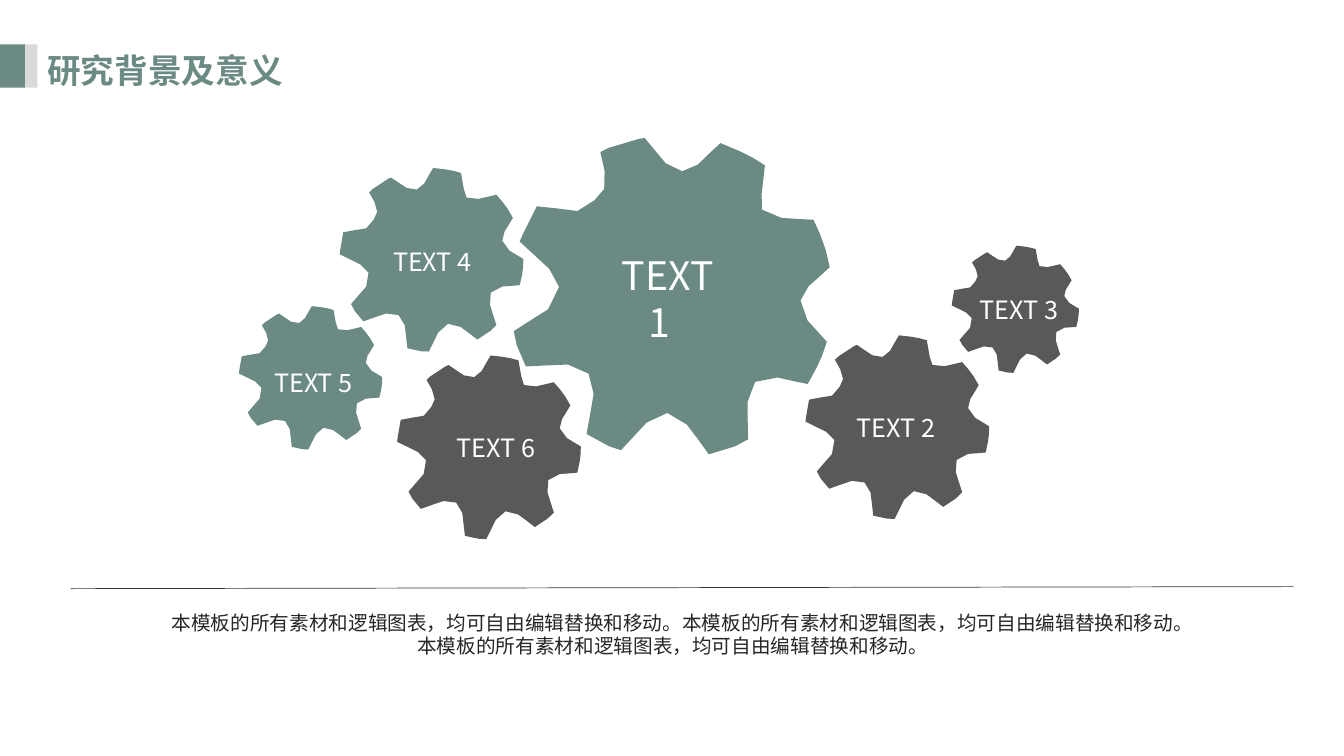
from math import cos, dist, radians, sin

from lxml import etree
from pptx import Presentation
from pptx.dml.color import RGBColor
from pptx.enum.shapes import MSO_CONNECTOR, MSO_SHAPE
from pptx.enum.text import MSO_ANCHOR, MSO_AUTO_SIZE, PP_ALIGN
from pptx.oxml.ns import qn
from pptx.util import Inches, Pt

RECTANGLE = MSO_SHAPE.RECTANGLE
STRAIGHT = MSO_CONNECTOR.STRAIGHT
TOP = MSO_ANCHOR.TOP
GROW = MSO_AUTO_SIZE.SHAPE_TO_FIT_TEXT
LEFT, CENTER = PP_ALIGN.LEFT, PP_ALIGN.CENTER

FONT = "Noto Sans CJK SC"
GREEN, GRAY, PALE, WHITE = "6B8A84", "595959", "D9D9D9", "FFFFFF"
HUB_X, HUB_Y, GEAR_SIZE, GEAR_TILT = 6.66, 2.95, 3.2, 25.7
CURVE_STEPS, SHORT_CURVE = 3, 0.35

# Outline of the tilted main gear: two numbers are a line, six a Bézier curve
GEAR_OUTLINE = [
    (6.4, 1.37), (6.52, 1.48, 6.56, 1.66, 6.77, 1.7),
    (6.96, 1.67, 7.02, 1.51, 7.15, 1.42),
    (7.38, 1.51, 7.47, 1.56, 7.59, 1.64),
    (7.58, 1.79, 7.54, 1.91, 7.56, 2.08), (7.78, 2.22, 7.9, 2.15, 8.07, 2.18),
    (8.14, 2.32, 8.2, 2.47, 8.23, 2.65),
    (8.14, 2.76, 8, 2.8, 7.94, 2.98), (7.99, 3.26, 8.11, 3.25, 8.2, 3.39),
    (8.16, 3.53, 8.12, 3.62, 8.01, 3.81),
    (7.84, 3.81, 7.77, 3.68, 7.49, 3.79), (7.35, 4, 7.44, 4.17, 7.42, 4.36),
    (7.29, 4.43), (7.03, 4.51),
    (6.9, 4.37, 6.88, 4.19, 6.62, 4.1), (6.35, 4.16, 6.31, 4.35, 6.16, 4.47),
    (6.04, 4.43), (5.82, 4.31),
    (5.83, 4.11, 5.96, 3.91, 5.84, 3.71), (5.64, 3.54, 5.43, 3.66, 5.22, 3.64),
    (5.13, 3.43), (5.1, 3.29),
    (5.25, 3.14, 5.49, 3.17, 5.55, 2.85), (5.49, 2.63, 5.29, 2.55, 5.16, 2.4),
    (5.19, 2.33), (5.23, 2.23, 5.28, 2.14, 5.33, 2.05),
    (5.5, 2.02, 5.77, 2.21, 5.9, 1.99), (6.06, 1.93, 6.01, 1.68, 5.96, 1.51),
    (6.04, 1.47), (6.13, 1.43, 6.23, 1.4, 6.34, 1.38),
]

# Left, top, size, tilt, colour
GEARS = [
    (5.06, 1.35, 3.2, 25.7, GREEN),
    (7.99, 3.33, 1.82, 9.1, GRAY),
    (9.44, 2.44, 1.26, 9.1, GRAY),
    (3.94, 3.53, 1.82, 9.1, GRAY),
    (3.37, 1.67, 1.82, 9.1, GREEN),
    (2.37, 3.04, 1.42, 9.1, GREEN),
]

GEAR_LABELS = [
    ("TEXT 2", 8.4, 4.04),
    ("TEXT 3", 9.62, 2.87),
    ("TEXT 4", 3.8, 2.39),
    ("TEXT 5", 2.62, 3.59),
    ("TEXT 6", 4.43, 4.24),
]


def rgb(value):
    return RGBColor.from_string(value)


def write(holder, text, left, top, width, height, size, color, bold=False, align=LEFT):
    """Place a text holder and fill it, one paragraph per line of text."""
    holder.left, holder.top = Inches(left), Inches(top)
    holder.width, holder.height = Inches(width), Inches(height)
    frame = holder.text_frame
    frame.text = text
    frame.word_wrap = True
    frame.auto_size = GROW
    frame.vertical_anchor = TOP
    for paragraph in frame.paragraphs:
        paragraph.alignment = align
        for run in paragraph.runs:
            run.font.name = FONT
            run.font.size = Pt(size)
            run.font.bold = bold
            run.font.color.rgb = rgb(color)
            east_asian = etree.SubElement(run.font._element, qn("a:ea"))
            east_asian.set("typeface", FONT)
    return frame


presentation = Presentation()
presentation.slide_width = Inches(13.33)
presentation.slide_height = Inches(7.5)
slide = presentation.slides.add_slide(presentation.slide_layouts[5])
shapes = slide.shapes

# Title with its two marker bars
write(shapes.title, "研究背景及意义", 0.37, 0.44, 2.77, 0.5, 24, GREEN, bold=True)
for left, width, color in [(0, 0.25, GREEN), (0.25, 0.12, PALE)]:
    bar = shapes.add_shape(RECTANGLE, Inches(left), Inches(0.44), Inches(width), Inches(0.43))
    bar.shadow.inherit = False
    bar.fill.solid()
    bar.fill.fore_color.rgb = rgb(color)
    bar.line.fill.background()

# Curves become short lines; nearly straight ones become a single line
outline_points = []
for segment in GEAR_OUTLINE:
    if len(segment) == 2:
        outline_points.append(segment)
        continue
    x0, y0 = outline_points[-1]
    x1, y1, x2, y2, x3, y3 = segment
    steps = 1 if dist((x0, y0), (x3, y3)) < SHORT_CURVE else CURVE_STEPS
    for step in range(1, steps + 1):
        t = step / steps
        a, b, c, d = (1 - t) ** 3, 3 * t * (1 - t) ** 2, 3 * t * t * (1 - t), t ** 3
        outline_points.append((a * x0 + b * x1 + c * x2 + d * x3,
                               a * y0 + b * y1 + c * y2 + d * y3))

# Upright gear points around the hub, for a gear of size 1
turn = radians(-GEAR_TILT)
gear_points = []
for x, y in outline_points:
    dx, dy = (x - HUB_X) / GEAR_SIZE, (y - HUB_Y) / GEAR_SIZE
    gear_points.append((dx * cos(turn) - dy * sin(turn), dx * sin(turn) + dy * cos(turn)))

for left, top, size, tilt, color in GEARS:
    points = [(Inches(left + (0.5 + x) * size), Inches(top + (0.5 + y) * size))
              for x, y in gear_points]
    builder = shapes.build_freeform(*points[0])
    builder.add_line_segments(points[1:], close=True)
    gear = builder.convert_to_shape()
    gear.left, gear.top = Inches(left), Inches(top)
    gear.width = gear.height = Inches(size)
    gear.rotation = tilt
    gear.shadow.inherit = False
    gear.fill.solid()
    gear.fill.fore_color.rgb = rgb(color)
    gear.line.fill.background()

# Gear labels
main_label = write(shapes.add_textbox(0, 0, 0, 0), "TEXT\n1", 6.07, 2.44, 1.22, 1.04, 28, WHITE)
main_label.paragraphs[1]._p.get_or_add_pPr().set("marL", str(Inches(0.26)))
for label, left, top in GEAR_LABELS:
    write(shapes.add_textbox(0, 0, 0, 0), label, left, top, 1.22, 0.4, 18, WHITE)

# Divider and closing note
divider = shapes.add_connector(STRAIGHT, Inches(0.7), Inches(5.84), Inches(12.83), Inches(5.82))
divider.line.color.rgb = rgb("363636")
divider.line.width = Pt(0.5)
etree.SubElement(divider._element.spPr, qn("a:effectLst"))

sentence = "本模板的所有素材和逻辑图表，均可自由编辑替换和移动。"
write(shapes.add_textbox(0, 0, 0, 0), f"{sentence}{sentence}\n{sentence}",
      1.51, 6.01, 10.33, 0.57, 14, "262626", align=CENTER)

presentation.save("out.pptx")
